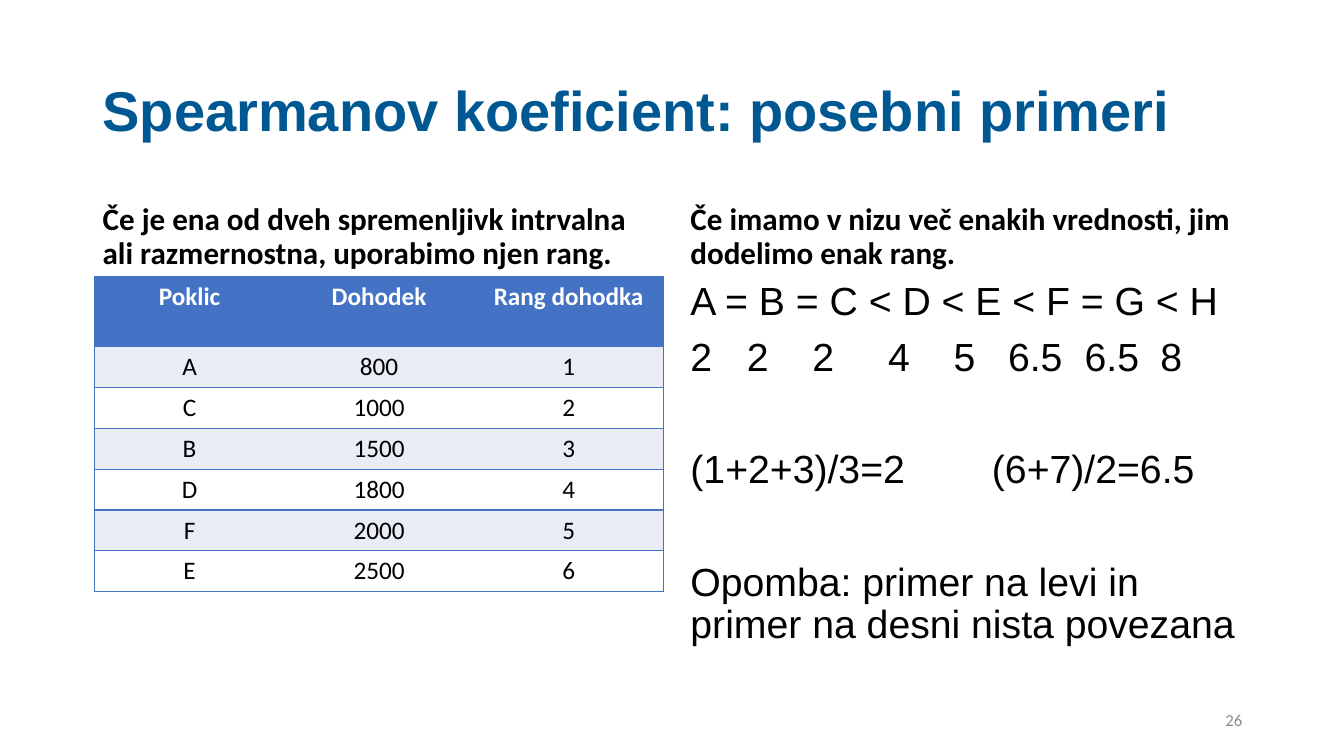
"""Builds a slide on special cases of the Spearman coefficient."""
from lxml import etree
from pptx import Presentation
from pptx.dml.color import RGBColor
from pptx.enum import text
from pptx.oxml import ns
from pptx.util import Inches, Pt

TITLE_BLUE = RGBColor(0x00, 0x58, 0x92)
TABLE_BLUE = RGBColor(0x44, 0x72, 0xC4)
BAND = RGBColor(0xE9, 0xEB, 0xF5)
WHITE = RGBColor(0xFF, 0xFF, 0xFF)
BLACK = RGBColor(0x00, 0x00, 0x00)
GREY = RGBColor(0x8C, 0x8C, 0x8C)

INCOMES = [
    ("Poklic", "Dohodek", "Rang dohodka"),
    ("A", "800", "1"),
    ("C", "1000", "2"),
    ("B", "1500", "3"),
    ("D", "1800", "4"),
    ("F", "2000", "5"),
    ("E", "2500", "6"),
]
RANK_TABS = (0.56, 1.21, 1.96, 2.61, 3.15, 3.91, 4.66)
RANK_LINES = [
    ("A = B = C < D < E < F = G < H", 0, ()),
    ("2\t2\t2\t4\t5\t6.5\t6.5\t8", 10, RANK_TABS),
    ("(1+2+3)/3=2\t(6+7)/2=6.5", 50, (2.99,)),
    ("Opomba: primer na levi in primer na desni nista povezana", 50, ()),
]


def add_run(paragraph, words, font_name, size, color, bold=False):
    """Add one formatted run to a paragraph."""
    run = paragraph.add_run()
    run.text = words
    run.font.name = font_name
    run.font.size = Pt(size)
    run.font.bold = bold
    run.font.color.rgb = color


def add_box(slide, left, top, width, height, anchor):
    """Add an empty wrapping text box and return its text frame."""
    shape = slide.shapes.add_textbox(
        Inches(left), Inches(top), Inches(width), Inches(height))
    frame = shape.text_frame
    frame.word_wrap = True
    frame.vertical_anchor = anchor
    return frame


def add_line(slide, position, anchor, words, font_name, size, color, bold):
    """Add a text box holding one paragraph and return the paragraph."""
    paragraph = add_box(slide, *position, anchor).paragraphs[0]
    paragraph.line_spacing = 0.9
    add_run(paragraph, words, font_name, size, color, bold)
    return paragraph


def set_tabs(paragraph, stops):
    """Give a paragraph left tab stops in inches."""
    properties = paragraph._p.get_or_add_pPr()
    tab_list = etree.SubElement(properties, ns.qn("a:tabLst"))
    for stop in stops:
        etree.SubElement(tab_list, ns.qn("a:tab"),
                         pos=str(Inches(stop)), algn="l")


def add_rank_example(slide):
    """Add the example of tied ranks."""
    frame = add_box(slide, 6.75, 2.74, 5.67, 4.03, text.MSO_ANCHOR.TOP)
    for index, (words, space, stops) in enumerate(RANK_LINES):
        paragraph = frame.add_paragraph() if index else frame.paragraphs[0]
        paragraph.line_spacing = 0.9
        paragraph.space_before = Pt(space)
        if stops:
            set_tabs(paragraph, stops)
        for part, piece in enumerate(words.split("\t")):
            add_run(paragraph, "\t" + piece if part else piece,
                    "Arial", 28, BLACK)


def set_borders(cell, sides):
    """Draw the named cell sides in blue and clear the others."""
    properties = cell._tc.get_or_add_tcPr()
    for index, side in enumerate("LRTB"):
        line = etree.Element(ns.qn(f"a:ln{side}"), w=str(Pt(1)))
        if side in sides:
            fill = etree.SubElement(line, ns.qn("a:solidFill"))
            etree.SubElement(fill, ns.qn("a:srgbClr"), val=str(TABLE_BLUE))
        else:
            etree.SubElement(line, ns.qn("a:noFill"))
        properties.insert(index, line)


def add_income_table(slide):
    """Add the banded table of incomes and their ranks."""
    columns = len(INCOMES[0])
    table = slide.shapes.add_table(
        len(INCOMES), columns, Inches(0.94), Inches(2.74),
        Inches(5.64), Inches(3.13)).table
    for row_index, values in enumerate(INCOMES):
        header = row_index == 0
        table.rows[row_index].height = Inches(0.7 if header else 0.405)
        band = BAND if row_index % 2 else WHITE
        for column, value in enumerate(values):
            cell = table.cell(row_index, column)
            cell.fill.solid()
            cell.fill.fore_color.rgb = TABLE_BLUE if header else band
            sides = "TB"
            if column == 0:
                sides += "L"
            if column == columns - 1:
                sides += "R"
            set_borders(cell, sides)
            paragraph = cell.text_frame.paragraphs[0]
            paragraph.alignment = text.PP_ALIGN.CENTER
            add_run(paragraph, value, "Calibri", 18,
                    WHITE if header else BLACK, header)


def main():
    """Build and save the presentation."""
    presentation = Presentation()
    presentation.slide_width = Inches(13.33)
    presentation.slide_height = Inches(7.5)
    slide = presentation.slides.add_slide(presentation.slide_layouts[6])
    anchor = text.MSO_ANCHOR
    add_line(slide, (0.92, 0.4, 11.5, 1.45), anchor.MIDDLE,
             "Spearmanov koeficient: posebni primeri",
             "Arial", 40, TITLE_BLUE, True)
    headings = [
        (0.92, 5.64, "Če je ena od dveh spremenljivk intrvalna ali "
                     "razmernostna, uporabimo njen rang."),
        (6.75, 5.67, "Če imamo v nizu več enakih vrednosti, jim "
                     "dodelimo enak rang."),
    ]
    for left, width, words in headings:
        add_line(slide, (left, 1.84, width, 0.9), anchor.BOTTOM,
                 words, "Calibri", 22.2, BLACK, True)
    add_rank_example(slide)
    number = add_line(slide, (9.42, 6.95, 3, 0.4), anchor.MIDDLE,
                      "26", "Calibri", 12, GREY, False)
    number.alignment = text.PP_ALIGN.RIGHT
    add_income_table(slide)
    presentation.save("out.pptx")


if __name__ == "__main__":
    main()
